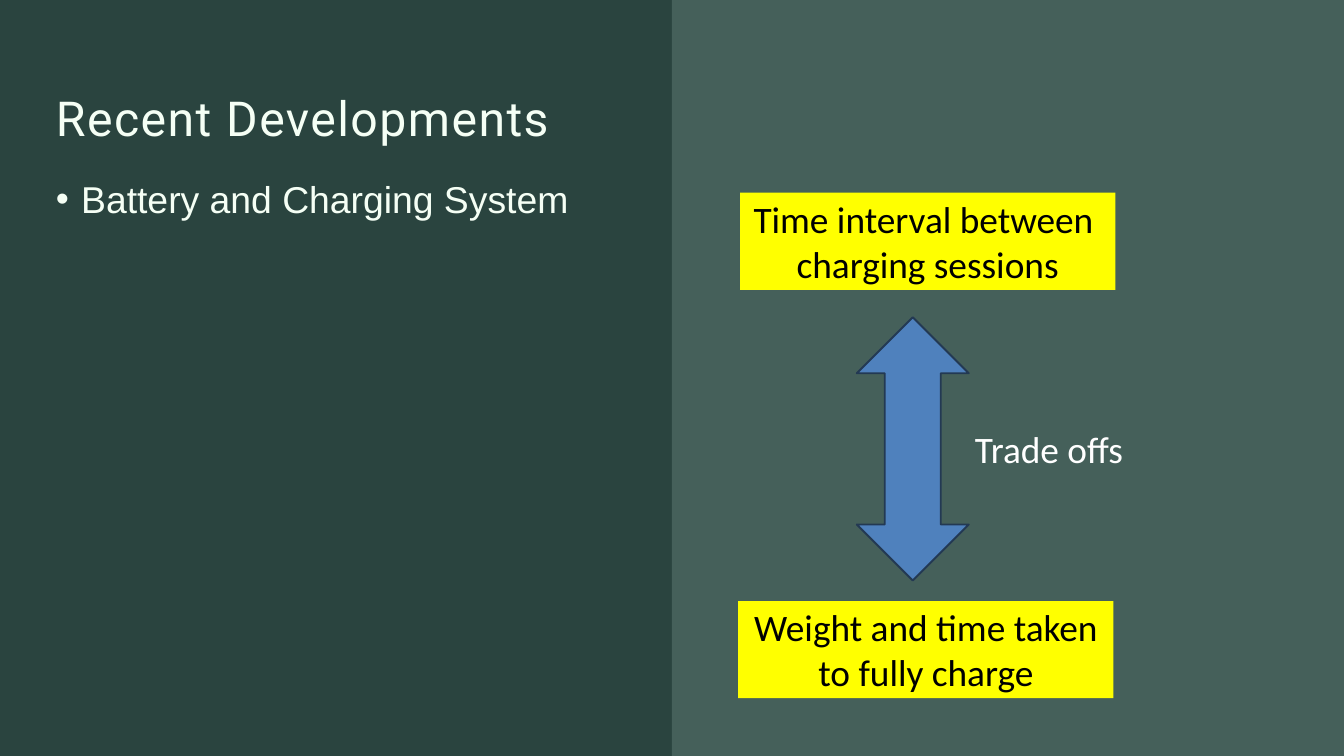
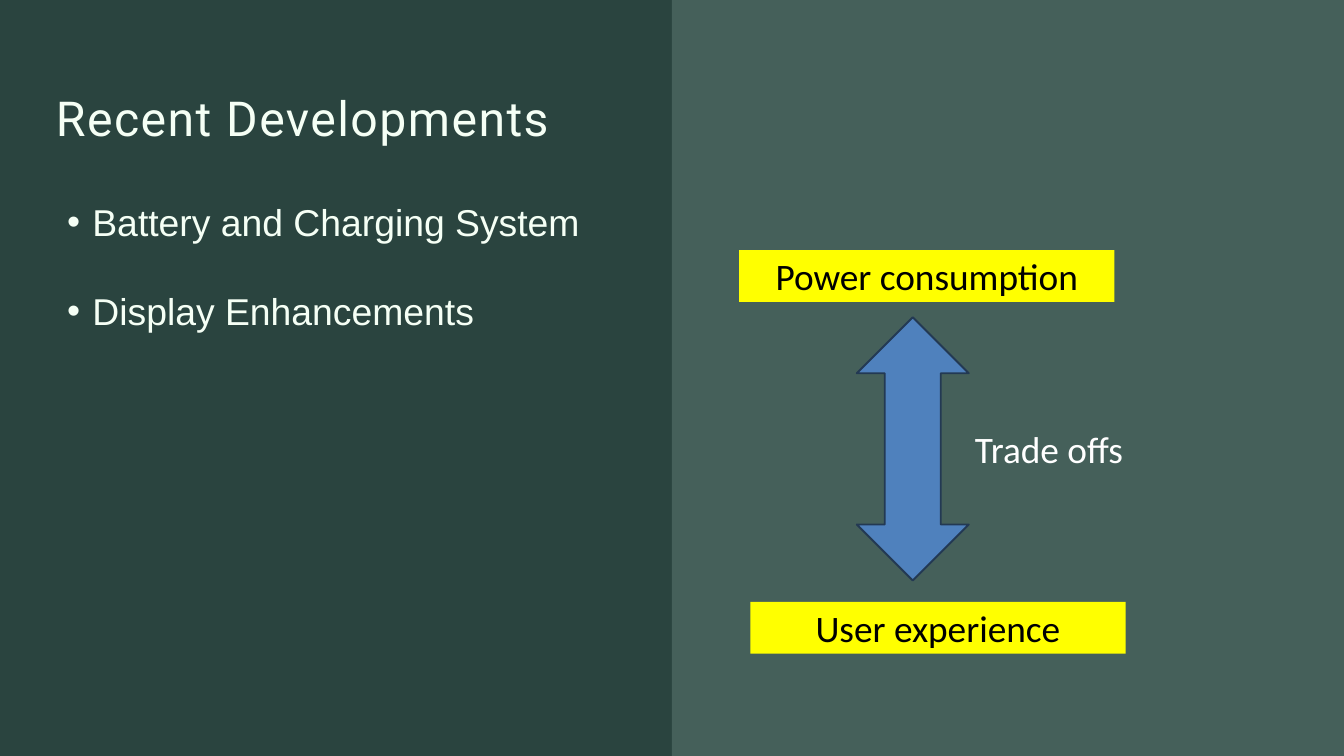
from lxml.etree import SubElement
from pptx import Presentation
from pptx.dml.color import RGBColor
from pptx.enum.shapes import MSO_SHAPE
from pptx.enum.text import MSO_ANCHOR, MSO_AUTO_SIZE, PP_ALIGN
from pptx.oxml.ns import qn
from pptx.util import Pt

WIDTH, HEIGHT = 1440, 810
BACKGROUND, PANEL, HIGHLIGHT = "2A443F", "45605A", "FFFF00"
ARROW_FILL, ARROW_LINE = "4F81BD", "233953"
TITLE = "Recent Developments"
ARROW_LABEL = "Trade offs"

TITLE_FONT = {"name": "Roboto", "size": Pt(51.6), "color": "F5FFF5"}
BULLET_FONT = {"name": "Arial", "size": Pt(40), "color": "F5FFF5"}
FACTOR_FONT = {"name": "Calibri", "size": Pt(40), "color": "000000"}
LABEL_FONT = FACTOR_FONT | {"color": "FFFFFF"}

TITLE_AREA = (60, 84, 648, 70)
ARROW_AREA = (918, 340, 120, 282)
LABEL_AREA = (1037.5, 453.5, 199, 55.5)
BULLET_WIDTH, BULLET_LINE, BULLET_INDENT = 1152, 90, 27
FACTOR_WIDTH, FACTOR_LINE, FACTOR_MARGINS = 402, 48.5, 7

SLIDES = [
    {
        "bullets": ["Battery and Charging System"],
        "bullets_at": (60, 141),
        "factors": [
            ((793, 206.5), 2, ["Time interval between ", "charging sessions"]),
            ((791, 644), 2, ["Weight and time taken to fully charge"]),
        ],
    },
    {
        "bullets": ["Battery and Charging System", "Display Enhancements"],
        "bullets_at": (72, 165),
        "factors": [
            ((792, 268), 1, ["Power consumption"]),
            ((804, 645), 1, ["User experience"]),
        ],
    },
]


def rgb(color):
    return RGBColor.from_string(color)


def add_filled(page, kind, area, fill, line=None):
    shape = page.shapes.add_shape(kind, *map(Pt, area))
    shape.shadow.inherit = False
    shape.fill.solid()
    shape.fill.fore_color.rgb = rgb(fill)
    if line:
        shape.line.color.rgb = rgb(line)
        shape.line.width = Pt(2)
    else:
        shape.line.fill.background()
    return shape


def add_bullet(para):
    properties = para._p.get_or_add_pPr()
    properties.set("marL", str(Pt(BULLET_INDENT)))
    properties.set("indent", str(-Pt(BULLET_INDENT)))
    SubElement(properties, qn("a:buFont")).set("typeface", "Arial")
    SubElement(properties, qn("a:buChar")).set("char", "•")


def write(box, lines, font, align=PP_ALIGN.LEFT, spacing=None, bullet=False, inset=True):
    frame = box.text_frame
    frame.word_wrap = True
    frame.auto_size = MSO_AUTO_SIZE.SHAPE_TO_FIT_TEXT
    frame.vertical_anchor = MSO_ANCHOR.TOP
    if not inset:
        for side in ("left", "top", "right", "bottom"):
            setattr(frame, f"margin_{side}", 0)
    for index, line in enumerate(lines):
        para = frame.paragraphs[0] if index == 0 else frame.add_paragraph()
        para.alignment = align
        if spacing:
            para.line_spacing = spacing
        if bullet:
            add_bullet(para)
        span = para.add_run()
        span.text = line
        for name, value in font.items():
            if name == "color":
                span.font.color.rgb = rgb(value)
            else:
                setattr(span.font, name, value)


def add_text(page, area, lines, font, **options):
    box = page.shapes.add_textbox(*map(Pt, area))
    write(box, lines, font, **options)
    return box


def add_base(page):
    """Draw the background, right panel and title that the slides share."""
    page.background.fill.solid()
    page.background.fill.fore_color.rgb = rgb(BACKGROUND)
    half = WIDTH / 2
    add_filled(page, MSO_SHAPE.RECTANGLE, (half, 0, half, HEIGHT), PANEL)
    title = add_text(page, TITLE_AREA, [TITLE], TITLE_FONT,
                     spacing=Pt(72.2), inset=False)
    span = title.text_frame.paragraphs[0].runs[0]
    span._r.get_or_add_rPr().set("spc", "160")


def add_trade_off(page, factors):
    for position, line_count, lines in factors:
        height = line_count * FACTOR_LINE + FACTOR_MARGINS
        box = add_filled(page, MSO_SHAPE.RECTANGLE,
                         (*position, FACTOR_WIDTH, height), HIGHLIGHT)
        write(box, lines, FACTOR_FONT, align=PP_ALIGN.CENTER)
    add_filled(page, MSO_SHAPE.UP_DOWN_ARROW, ARROW_AREA, ARROW_FILL, ARROW_LINE)
    add_text(page, LABEL_AREA, [ARROW_LABEL], LABEL_FONT)


def main():
    deck = Presentation()
    deck.slide_width, deck.slide_height = Pt(WIDTH), Pt(HEIGHT)
    for content in SLIDES:
        page = deck.slides.add_slide(deck.slide_layouts[6])
        add_base(page)
        bullets = content["bullets"]
        area = (*content["bullets_at"], BULLET_WIDTH, BULLET_LINE * len(bullets))
        add_text(page, area, bullets, BULLET_FONT,
                 spacing=2.0, bullet=True, inset=False)
        add_trade_off(page, content["factors"])
    deck.save("out.pptx")


if __name__ == "__main__":
    main()
